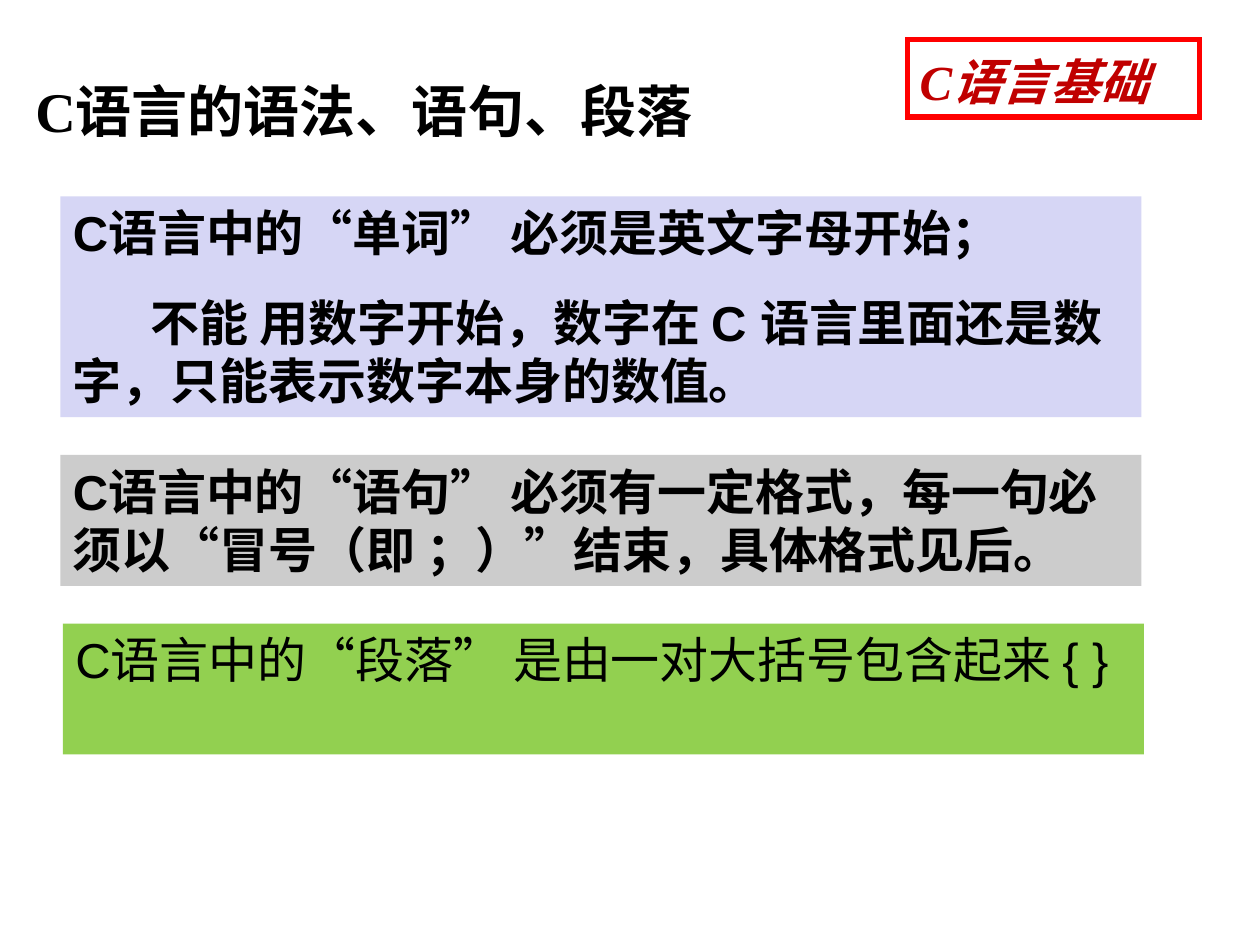
from lxml import etree
from pptx import Presentation
from pptx.dml.color import RGBColor
from pptx.enum import shapes, text
from pptx.oxml.ns import qn
from pptx.util import Cm, Pt

BLACK = RGBColor(0x00, 0x00, 0x00)
RED = RGBColor(0xFF, 0x00, 0x00)
DARK_RED = RGBColor(0xC0, 0x00, 0x00)
LAVENDER = RGBColor(0xD6, 0xD6, 0xF5)
GREY = RGBColor(0xCC, 0xCC, 0xCC)
GREEN = RGBColor(0x92, 0xD0, 0x50)
SERIF, SANS = "Times New Roman", "Arial"

RULES_LEFT, RULES_TOP, RULES_WIDTH, RULES_GAP = 1.22, 3.96, 21.79, 0.76
# height, left shift, fill, bold, paragraphs
RULES = [
    (4.45, 0, LAVENDER, True,
     ["C语言中的“单词” 必须是英文字母开始；",
      "不能 用数字开始，数字在 C 语言里面还是数字，只能表示数字本身的数值。"]),
    (2.64, 0, GREY, True,
     ["C语言中的“语句” 必须有一定格式，每一句必须以“冒号（即 ；）”结束，具体格式见后。"]),
    (2.64, 0.05, GREEN, False,
     ["C语言中的“段落” 是由一对大括号包含起来 { }"]),
]


def write(shape, paragraphs, *, font, size=28, color=BLACK, bold=True, italic=False,
          line_spacing=None, space_before=0, later_indent=0):
    """Fill a shape with left-aligned text; the spacing and indent start at paragraph two."""
    frame = shape.text_frame
    frame.word_wrap = True
    frame.auto_size = text.MSO_AUTO_SIZE.NONE
    frame.vertical_anchor = text.MSO_ANCHOR.TOP
    frame.margin_right = Cm(0.1)
    for index, wording in enumerate(paragraphs):
        paragraph = frame.add_paragraph() if index else frame.paragraphs[0]
        paragraph.alignment = text.PP_ALIGN.LEFT
        if line_spacing:
            paragraph.line_spacing = line_spacing
        if index:
            paragraph.space_before = Pt(space_before)
            properties = paragraph._p.get_or_add_pPr()
            properties.set("marL", "0")
            properties.set("indent", str(Cm(later_indent)))
        run = paragraph.add_run()
        run.text = wording
        run.font.name = font
        run.font.size = Pt(size)
        run.font.bold = bold
        run.font.italic = italic
        run.font.color.rgb = color


def add_box(slide, left, top, width, height, fill=None, outline=None):
    box = slide.shapes.add_shape(shapes.MSO_SHAPE.RECTANGLE,
                                 Cm(left), Cm(top), Cm(width), Cm(height))
    box.shadow.inherit = False
    if fill is None:
        box.fill.background()
    else:
        box.fill.solid()
        box.fill.fore_color.rgb = fill
    if outline is None:
        box.line.fill.background()
    else:
        box.line.color.rgb = outline
        box.line.width = Pt(3)
        etree.SubElement(box.line._get_or_add_ln(), qn("a:miter"), lim="800000")
    return box


def place_heading(slide, left, top, width, height):
    heading = slide.shapes.title
    heading.left, heading.top = Cm(left), Cm(top)
    heading.width, heading.height = Cm(width), Cm(height)
    write(heading, ["C语言的语法、语句、段落"], font=SERIF, size=32)


def add_course_badge(slide, left, top, width, height):
    badge = add_box(slide, left, top, width, height, outline=RED)
    write(badge, ["C语言基础"], font=SERIF, color=DARK_RED, italic=True, line_spacing=1.1)


def add_rules(slide, left, top, width, gap):
    """Stack the rule boxes downwards with equal gaps."""
    for height, shift, fill, bold, paragraphs in RULES:
        rule = add_box(slide, left + shift, top, width, height, fill=fill)
        write(rule, paragraphs, font=SANS, bold=bold, space_before=17.5, later_indent=1.57)
        top += height + gap


def main():
    deck = Presentation()
    deck.slide_width, deck.slide_height = Cm(25.4), Cm(19.05)
    slide = deck.slides.add_slide(deck.slide_layouts.get_by_name("Title Only"))
    place_heading(slide, 0.46, 1.42, 14.4, 1.63)
    add_rules(slide, RULES_LEFT, RULES_TOP, RULES_WIDTH, RULES_GAP)
    add_course_badge(slide, 18.29, 0.79, 5.89, 1.57)
    deck.save("out.pptx")


if __name__ == "__main__":
    main()
